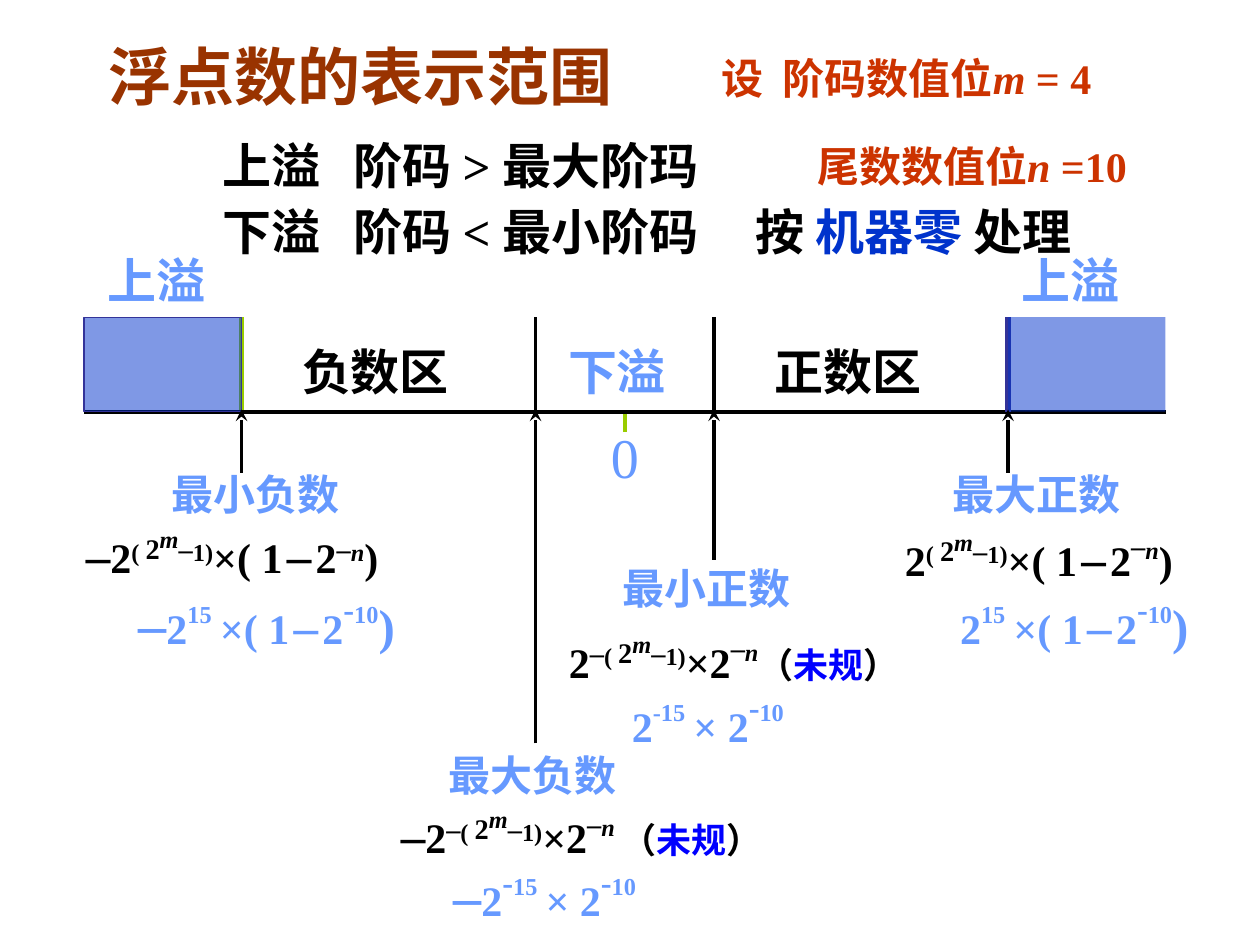
from lxml import etree
from pptx import Presentation
from pptx import util as u
from pptx.dml import color
from pptx.enum import shapes, text
from pptx.oxml import ns

BLACK, BLUE, SKY, RED = "000000", "0033CC", "6699FF", "CC3300"
NAVY, LIME, BROWN = "333399", "99CC00", "993300"
TOP, AXIS = 181.25, 235.25
LEFT, NEG, NEAR, POS, MAX, RIGHT = 48, 138, 306, 408, 576, 666
BAND = AXIS - TOP


def rgb(hue):
    return color.RGBColor.from_string(hue)


def sub(node, tag, **attrs):
    return etree.SubElement(node, ns.qn(tag), **attrs)


def run(words, size=24, rise=0, hue=None, slant=False, bold=True):
    return words, size, rise, hue, slant, bold


def write(para, runs, hue):
    for words, size, rise, own, slant, bold in runs:
        part = para.add_run()
        part.text = words
        font = part.font
        font.name, font.size = "Times New Roman", u.Pt(size)
        font.bold, font.italic = bold, slant
        font.color.rgb = rgb(own or hue)
        if rise:
            part._r.get_or_add_rPr().set("baseline", str(rise * 1000))


def label(slide, place, lines, hue, wrap=True, before=0, space=None, stops=()):
    box = slide.shapes.add_textbox(*[u.Pt(n) for n in place])
    frame = box.text_frame
    frame.word_wrap = wrap
    frame.auto_size = text.MSO_AUTO_SIZE.SHAPE_TO_FIT_TEXT
    for i, runs in enumerate(lines):
        para = frame.add_paragraph() if i else frame.paragraphs[0]
        para.space_before = u.Pt(before)
        if space:
            para.line_spacing = space
        if stops:
            tabs = sub(para._p.get_or_add_pPr(), "a:tabLst")
            for stop in stops:
                sub(tabs, "a:tab", pos=str(u.Pt(stop)), algn="l")
        write(para, runs, hue)
    return frame


def name_tag(slide, x, y, name, size, hue):
    # One em per character, plus the side margins
    wide = len(name) * size + 15
    label(slide, (x, y, wide, 41), [[run(name, size)]], hue, wrap=False)


def line(slide, x, y, x2, y2, hue=BLACK, width=2.25, arrow=False):
    rule = slide.shapes.add_connector(
        shapes.MSO_CONNECTOR.STRAIGHT, u.Pt(x), u.Pt(y), u.Pt(x2), u.Pt(y2))
    rule.line.color.rgb = rgb(hue)
    rule.line.width = u.Pt(width)
    if arrow:
        sub(rule.line._get_or_add_ln(), "a:tailEnd", type="stealth")
    sub(rule._element.spPr, "a:effectLst")


def zone(slide, x, edge=None):
    rect = slide.shapes.add_shape(
        shapes.MSO_SHAPE.RECTANGLE, u.Pt(x), u.Pt(TOP), u.Pt(90), u.Pt(BAND))
    rect.shadow.inherit = False
    rect.fill.solid()
    rect.fill.fore_color.rgb = rgb(BLUE)
    tint = rect._element.spPr.find(".//" + ns.qn("a:srgbClr"))
    sub(tint, "a:alpha", val="50000")
    if edge:
        rect.line.color.rgb = rgb(edge)
        rect.line.width = u.Pt(0.75)
    else:
        rect.line.fill.background()


# Formula parts
def minus(size=28, rise=0):
    return run("–", size, rise)


def code():
    return [run("( ", 24, 30), run("2", 28, 30), run("m", 24, 60, slant=True),
            minus(rise=30), run("1)", 24, 30)]


def less():
    return [run("×( 1"), run(" ", 10), minus(), run(" ", 10), run("2")]


def large(rise):
    return [run("2"), *code(), *less(), minus(rise=rise),
            run("n", 24, rise, slant=True), run(")")]


def small(letter):
    return [run("2"), minus(rise=30), *code(), run("×2"), minus(rise=40),
            run(letter, 24, 40, slant=True), run("（", 20),
            run("未规", 20, hue="0000FF"), run("）", 20)]


def ten():
    return [run("-", 32, 40), run("10", 24, 50)]


def big():
    return [run("2"), run("15", 24, 50), run(" ", 32, 30), *less(), *ten(),
            run(")", 28)]


def tiny(*power):
    return [run("2"), *power, run(" ", 32, 30), run("× 2"), *ten()]


def heads(slide):
    label(slide, (47, 18, 467, 50), [[run(" 浮点数的表示范围", 36)]], BROWN)
    label(slide, (405.25, 26.25, 234, 36),
          [[run("设\t阶码数值位"), run("m", slant=True), run(" = 4")]],
          RED, before=15, stops=[35])
    label(slide, (453.5, 72.75, 234, 41),
          [[run(" ", 28), run("尾数数值位"), run("n", slant=True), run(" =10")]],
          RED, before=15)
    rules = label(slide, (120, 83.75, 534, 67),
                  [[run("上溢\t阶码 > 最大阶玛", 28)],
                   [run("下溢\t阶码 < 最小阶码\t按 ", 28),
                    run("机器零 ", 28, hue=BLUE), run("处理", 28)]],
                  BLACK, before=17.5, space=0.6, stops=[75, 304.5])
    rules.margin_top = u.Pt(5.75)


def scale(slide):
    mid = (NEAR + POS) / 2
    line(slide, mid, 247, mid, AXIS, LIME)
    line(slide, NEG, TOP, NEG, AXIS, LIME, 3)
    line(slide, LEFT, AXIS, RIGHT, AXIS)
    line(slide, MAX, TOP, MAX, AXIS, NAVY, 3)
    for x in (NEAR, POS):
        line(slide, x, TOP, x, AXIS)
    zone(slide, LEFT, NAVY)
    zone(slide, MAX)
    for name, x, y, hue in [
            ("负数区", 165.5, 191.5, BLACK), ("正数区", 435.5, 191.5, BLACK),
            ("下溢", 317.5, 191.5, SKY),
            ("上溢", 54.5, 139.5, SKY), ("上溢", 576.75, 139.5, SKY)]:
        name_tag(slide, x, y, name, 28, hue)
    label(slide, (342, 237.75, 31, 46), [[run("0", 32, bold=False)]], SKY,
          wrap=False)


def marks(slide):
    # Name, label left, arrow x, arrow foot, label top
    for name, x, tip, foot, y in [
            ("最小负数", 90.75, NEG, 270, 264), ("最大负数", 249, NEAR, 424.75, 425),
            ("最大正数", 537, MAX, 270, 264), ("最小正数", 348.5, POS, 319.75, 318)]:
        name_tag(slide, x, y, name, 24, SKY)
        line(slide, tip, foot, tip, 234, arrow=True)


def sums(slide):
    # General formulas
    for x, y, width, runs in [
            (42, 296, 234, [minus(), *large(30)]),
            (222, 456, 263, [minus(), *small("n ")]),
            (510, 297.5, 210, large(40)),
            (318, 355.75, 240.5, small("n"))]:
        label(slide, (x, y, width, 41), [runs], BLACK)
    # Values for m = 4 and n = 10
    for x, y, width, runs in [
            (72, 332.5, 204, [minus(32), *big()]),
            (252, 488.25, 174,
             [minus(32), *tiny(run("-", 32, 40), run("15", 24, 50))]),
            (354, 388.5, 174, tiny(run("-15", 24, 50))),
            (541.5, 332.5, 178.5, big())]:
        label(slide, (x, y, width, 46), [runs], SKY, before=20)


def main():
    deck = Presentation()
    deck.slide_width, deck.slide_height = u.Pt(720), u.Pt(540)
    slide = deck.slides.add_slide(deck.slide_layouts[6])
    heads(slide)
    scale(slide)
    marks(slide)
    sums(slide)
    deck.save("out.pptx")


if __name__ == "__main__":
    main()
